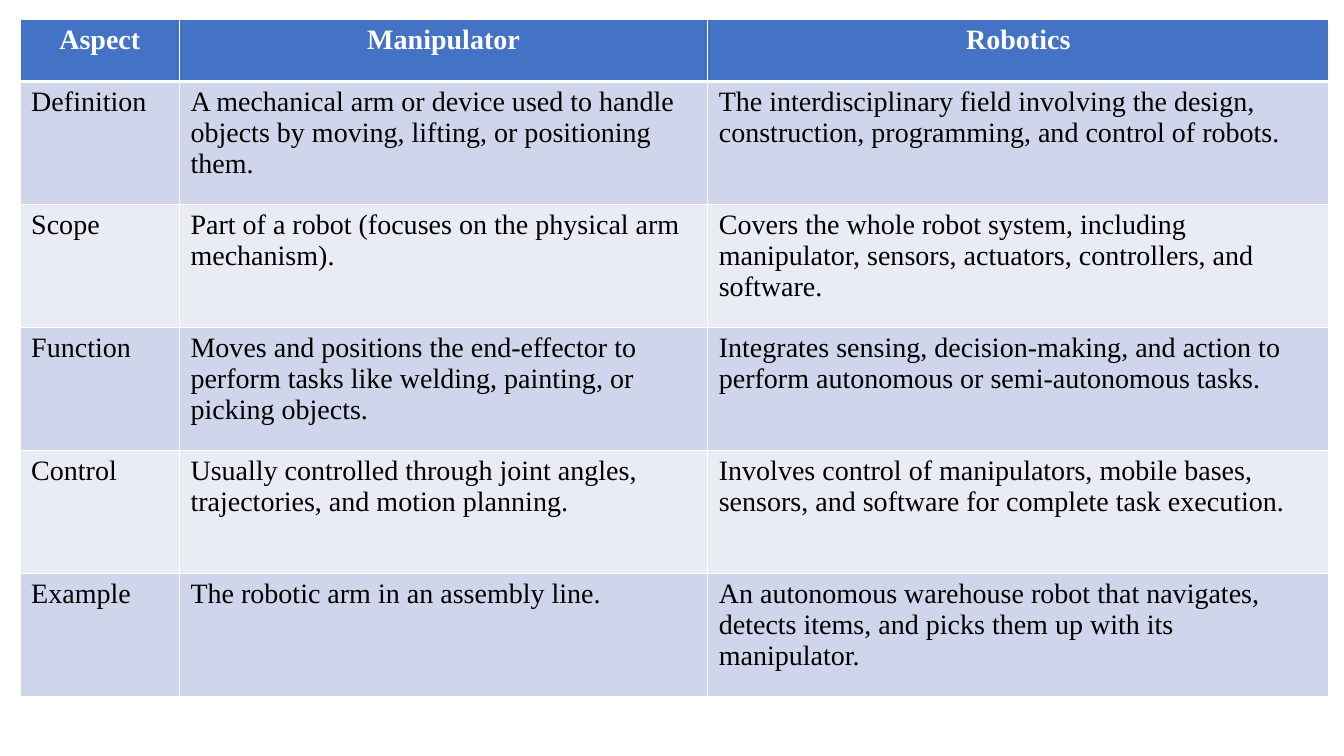
from lxml import etree
from pptx import Presentation
from pptx.dml.color import RGBColor
from pptx.enum import text
from pptx.oxml import ns
from pptx.util import Inches, Pt

HEADER_BLUE = RGBColor(0x44, 0x72, 0xC4)
BAND_DARK = RGBColor(0xCF, 0xD5, 0xEA)
BAND_LIGHT = RGBColor(0xE9, 0xEB, 0xF5)
WHITE = RGBColor(0xFF, 0xFF, 0xFF)
BLACK = RGBColor(0, 0, 0)

COLUMN_WIDTHS = (1.58, 5.24, 6.16)
HEADER_HEIGHT = 0.62
ASPECT_HEIGHT = 1.22

COMPARISON = [
    ("Aspect", "Manipulator", "Robotics"),
    ("Definition",
     "A mechanical arm or device used to handle objects by moving, lifting, or positioning them.",
     "The interdisciplinary field involving the design, construction, programming, and control of robots."),
    ("Scope",
     "Part of a robot (focuses on the physical arm mechanism).",
     "Covers the whole robot system, including manipulator, sensors, actuators, controllers, and software."),
    ("Function",
     "Moves and positions the end-effector to perform tasks like welding, painting, or picking objects.",
     "Integrates sensing, decision-making, and action to perform autonomous or semi-autonomous tasks."),
    ("Control",
     "Usually controlled through joint angles, trajectories, and motion planning.",
     "Involves control of manipulators, mobile bases, sensors, and software for complete task execution."),
    ("Example",
     "The robotic arm in an assembly line.",
     "An autonomous warehouse robot that navigates, detects items, and picks them up with its manipulator."),
]


def write_text(frame, wording, size=20, color=BLACK, bold=False,
               align=text.PP_ALIGN.LEFT):
    paragraph = frame.paragraphs[0]
    paragraph.alignment = align
    run = paragraph.add_run()
    run.text = wording
    run.font.name = "Times New Roman"
    run.font.size = Pt(size)
    run.font.bold = bold
    run.font.color.rgb = color


def set_borders(cell, left=1, right=1, top=1, bottom=1):
    properties = cell._tc.get_or_add_tcPr()
    for side, width in (("L", left), ("R", right), ("T", top), ("B", bottom)):
        border = etree.SubElement(properties, ns.qn(f"a:ln{side}"), w=str(Pt(width)))
        solid = etree.SubElement(border, ns.qn("a:solidFill"))
        etree.SubElement(solid, ns.qn("a:srgbClr"), val=str(WHITE))


def format_cell(cell, fill, **borders):
    cell.margin_left = cell.margin_right = Inches(0.11)
    cell.margin_top = cell.margin_bottom = Inches(0.05)
    set_borders(cell, **borders)
    cell.fill.solid()
    cell.fill.fore_color.rgb = fill


def add_comparison(slide):
    heights = [HEADER_HEIGHT] + [ASPECT_HEIGHT] * (len(COMPARISON) - 1)
    table = slide.shapes.add_table(
        len(heights), len(COLUMN_WIDTHS), Inches(0.2), Inches(0.19),
        Inches(sum(COLUMN_WIDTHS)), Inches(sum(heights))).table
    for column, width in zip(table.columns, COLUMN_WIDTHS):
        column.width = Inches(width)
    for index, (row, height, wordings) in enumerate(zip(table.rows, heights, COMPARISON)):
        row.height = Inches(height)
        for cell, wording in zip(row.cells, wordings):
            if index == 0:
                format_cell(cell, HEADER_BLUE, bottom=3)
                write_text(cell.text_frame, wording, color=WHITE, bold=True,
                           align=text.PP_ALIGN.CENTER)
            else:
                format_cell(cell, BAND_DARK if index % 2 else BAND_LIGHT,
                            top=3 if index == 1 else 1)
                write_text(cell.text_frame, wording)


def main():
    presentation = Presentation()
    presentation.slide_width = Inches(13.33)
    presentation.slide_height = Inches(7.5)
    slide = presentation.slides.add_slide(presentation.slide_layouts[6])
    add_comparison(slide)
    presentation.save("out.pptx")


if __name__ == "__main__":
    main()
